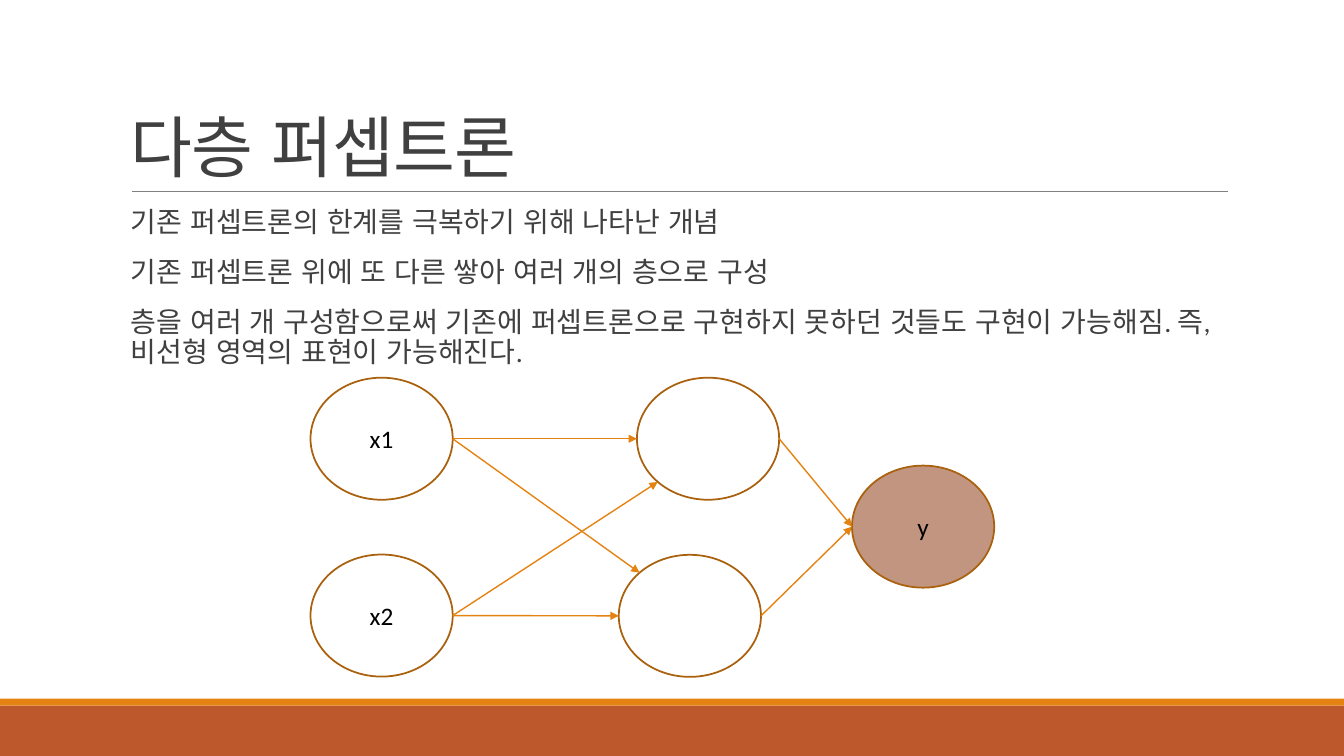
from math import sqrt

from lxml import etree
from pptx import Presentation
from pptx.dml.color import RGBColor
from pptx.enum import lang, shapes, text
from pptx.oxml import ns
from pptx.util import Pt

WHITE = RGBColor(0xFF, 0xFF, 0xFF)
BLACK = RGBColor(0, 0, 0)
INK = RGBColor(0x40, 0x40, 0x40)
GRAY = RGBColor(0x80, 0x80, 0x80)
RUST = RGBColor(0xBD, 0x58, 0x2C)
ORANGE = RGBColor(0xE4, 0x83, 0x12)
BROWN = RGBColor(0xA9, 0x61, 0x0D)
CLAY = RGBColor(0xC2, 0x95, 0x80)

WIDE, HIGH = 960, 540
NODE_W, NODE_H = 101.6, 87.2
POINTS = (
    "기존 퍼셉트론의 한계를 극복하기 위해 나타난 개념",
    "기존 퍼셉트론 위에 또 다른 쌓아 여러 개의 층으로 구성",
    "층을 여러 개 구성함으로써 기존에 퍼셉트론으로 구현하지 못하던 것들도 "
    "구현이 가능해짐. 즉, 비선형 영역의 표현이 가능해진다.",
)
# name: left, top, label, fill
NODES = {
    "x1": (0, 0, "x1", WHITE),
    "x2": (0, 126.3, "x2", WHITE),
    "h1": (233.2, 0, "", WHITE),
    "h2": (220.2, 126.5, "", WHITE),
    "y": (386.8, 62.8, "y", CLAY),
}
DIAG = sqrt(0.5)
LEFT, RIGHT = (-1, 0), (1, 0)
UPPER, LOWER = (-DIAG, -DIAG), (-DIAG, DIAG)
EDGES = (
    ("x1", "h1", LEFT), ("x2", "h2", LEFT),
    ("h1", "y", LEFT), ("h2", "y", LEFT),
    ("x1", "h2", UPPER), ("x2", "h1", LOWER),
)


def add_run(para, words, size, color):
    run = para.add_run()
    run.text = words
    run.font.name = "Calibri"
    run.font.size = Pt(size)
    run.font.color.rgb = color
    return run


def add_shape(slide, kind, box, fill):
    shape = slide.shapes.add_shape(kind, *map(Pt, box))
    shape.shadow.inherit = False
    shape.fill.solid()
    shape.fill.fore_color.rgb = fill
    shape.line.fill.background()
    return shape


def add_line(slide, start, end, color, width, arrow=False):
    line = slide.shapes.add_connector(
        shapes.MSO_CONNECTOR.STRAIGHT, *map(Pt, (*start, *end)))
    line.line.color.rgb = color
    line.line.width = Pt(width)
    if arrow:
        tip = etree.SubElement(line.line._get_or_add_ln(), ns.qn("a:tailEnd"))
        tip.set("type", "triangle")
    etree.SubElement(line._element.spPr, ns.qn("a:effectLst"))


def add_box(slide, box, anchor):
    frame = slide.shapes.add_textbox(*map(Pt, box)).text_frame
    frame.word_wrap = True
    frame.vertical_anchor = anchor
    return frame


def add_foot(slide, top):
    """Draw the two colour bands at the bottom."""
    rect = shapes.MSO_SHAPE.RECTANGLE
    add_shape(slide, rect, (0, top + 5, WIDE, HIGH - top - 5), RUST)
    add_shape(slide, rect, (0, top, WIDE, 5), ORANGE)


def add_title(slide, left, top, width, height):
    base = top + height
    add_line(slide, (left + 8, base), (left + width - 1, base), GRAY, 0.5)
    frame = add_box(slide, (left, top, width, height), text.MSO_ANCHOR.BOTTOM)
    para = frame.paragraphs[0]
    para.line_spacing = 0.85
    run = add_run(para, "다층 퍼셉트론", 48, INK)
    run.font.language_id = lang.MSO_LANGUAGE_ID.KOREAN
    run.font._element.set("spc", "-50")


def add_body(slide, left, top, width, height):
    frame = add_box(slide, (left, top, width, height), text.MSO_ANCHOR.TOP)
    frame.margin_left, frame.margin_right = Pt(7.2), 0
    for i, words in enumerate(POINTS):
        para = frame.add_paragraph() if i else frame.paragraphs[0]
        para.line_spacing = 0.9
        para.space_before, para.space_after = Pt(12), Pt(2)
        run = add_run(para, words, 20, INK)
        run.font.language_id = lang.MSO_LANGUAGE_ID.KOREAN


def add_net(slide, left, top):
    """Draw the nodes of the network and the arrows between them."""
    def rim(name, side):
        x, y = NODES[name][:2]
        return (left + x + NODE_W / 2 * (1 + side[0]),
                top + y + NODE_H / 2 * (1 + side[1]))

    for x, y, label, fill in NODES.values():
        node = add_shape(slide, shapes.MSO_SHAPE.OVAL,
                         (left + x, top + y, NODE_W, NODE_H), fill)
        node.line.color.rgb = BROWN
        node.line.width = Pt(1.25)
        if label:
            frame = node.text_frame
            frame.vertical_anchor = text.MSO_ANCHOR.MIDDLE
            para = frame.paragraphs[0]
            para.alignment = text.PP_ALIGN.CENTER
            add_run(para, label, 18, BLACK)
    for tail, head, side in EDGES:
        add_line(slide, rim(tail, RIGHT), rim(head, side), ORANGE, 1, True)


def main():
    deck = Presentation()
    deck.slide_width, deck.slide_height = Pt(WIDE), Pt(HIGH)
    slide = deck.slides.add_slide(deck.slide_layouts[6])
    add_foot(slide, 499)
    add_title(slide, 86.4, 22.5, 792, 114.2)
    add_body(slide, 86.4, 145.4, 792, 316.8)
    add_net(slide, 221.8, 269.8)
    deck.save("out.pptx")


if __name__ == "__main__":
    main()
